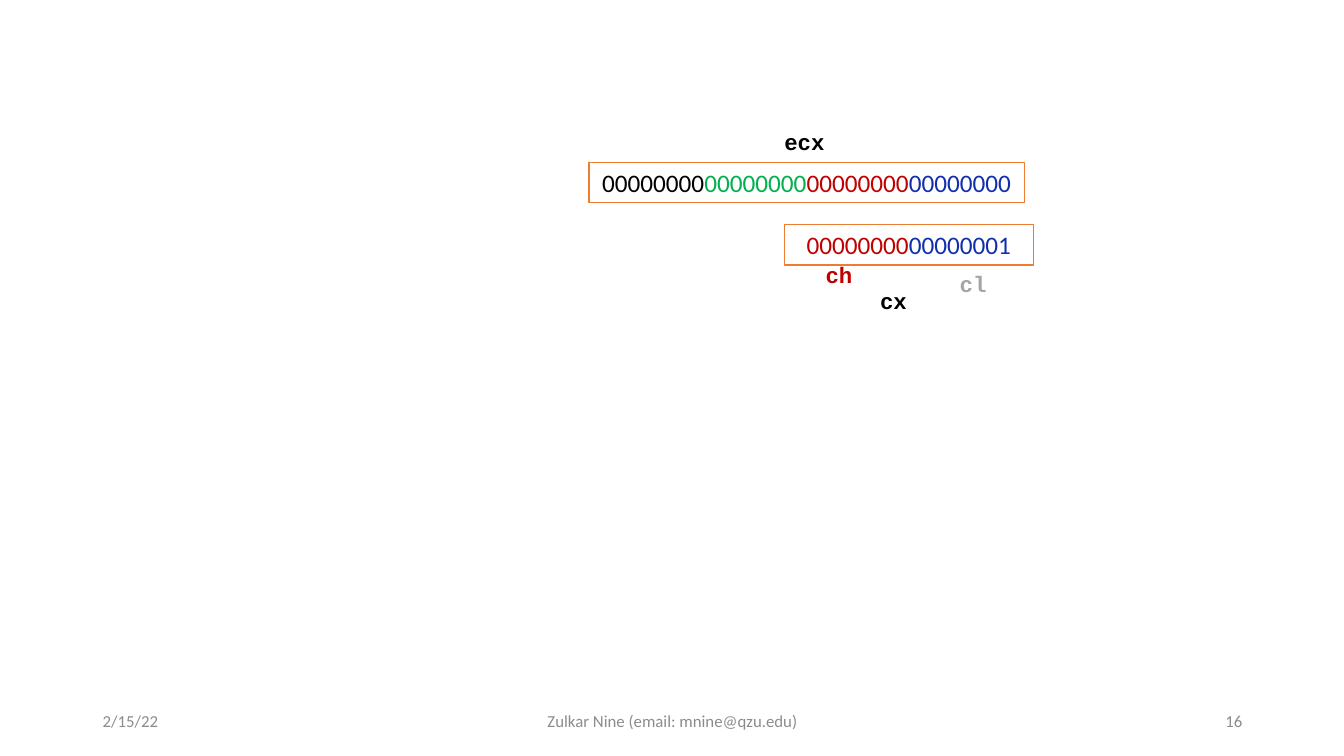
"""Build a slide showing the ecx register and its cx, ch and cl parts."""
from pptx import Presentation
from pptx.dml.color import RGBColor
from pptx.enum.shapes import MSO_SHAPE
from pptx.enum.text import MSO_ANCHOR, PP_ALIGN
from pptx.util import Inches, Pt

RECTANGLE = MSO_SHAPE.RECTANGLE
MIDDLE, TOP = MSO_ANCHOR.MIDDLE, MSO_ANCHOR.TOP
LEFT, CENTER, RIGHT = PP_ALIGN.LEFT, PP_ALIGN.CENTER, PP_ALIGN.RIGHT
WHITE = RGBColor(0xFF, 0xFF, 0xFF)
BLACK = RGBColor(0x00, 0x00, 0x00)
GRAY = RGBColor(0x8C, 0x8C, 0x8C)
SILVER = RGBColor(0xA5, 0xA5, 0xA5)
ORANGE = RGBColor(0xED, 0x7D, 0x31)
GREEN = RGBColor(0x00, 0xB0, 0x50)
RED = RGBColor(0xC0, 0x00, 0x00)
BLUE = RGBColor(0x11, 0x2E, 0xAC)

deck = Presentation()
deck.slide_width, deck.slide_height = Inches(13.33), Inches(7.5)
page = deck.slides.add_slide(deck.slide_layouts[6])


def write(box, spans, size, font, align=LEFT, anchor=TOP, wrap=True, bold=False):
    """Fill a box with one paragraph of coloured spans."""
    frame = box.text_frame
    frame.word_wrap = wrap
    frame.vertical_anchor = anchor
    para = frame.paragraphs[0]
    para.alignment = align
    para.font.size = Pt(size)
    para.font.name = font
    para.font.bold = bold
    for text, color in spans:
        span = para.add_run()
        span.text = text
        span.font.color.rgb = color


footers = [
    (0.92, 3, "2/15/22", LEFT),
    (4.42, 4.5, "Zulkar Nine (email: mnine@qzu.edu)", CENTER),
    (9.42, 3, "16", RIGHT),
]
for left, width, text, align in footers:
    box = page.shapes.add_textbox(Inches(left), Inches(6.95), Inches(width), Inches(0.4))
    write(box, [(text, GRAY)], 12, "Calibri", align, MIDDLE)

ZEROS = "0" * 8
registers = [
    (5.84, 1.61, 4.32, [(ZEROS, BLACK), (ZEROS, GREEN), (ZEROS, RED), (ZEROS, BLUE)]),
    (7.78, 2.23, 2.47, [(ZEROS, RED), ("00000001", BLUE)]),
]
for left, top, width, spans in registers:
    box = page.shapes.add_shape(RECTANGLE, Inches(left), Inches(top), Inches(width), Inches(0.4))
    box.shadow.inherit = False
    box.fill.solid()
    box.fill.fore_color.rgb = WHITE
    box.line.color.rgb = ORANGE
    box.line.width = Pt(1)
    write(box, spans, 18, "Calibri", CENTER)

labels = [
    (8.63, 2.8, 0.47, "cx", BLACK),
    (8.09, 2.54, 0.47, "ch", RED),
    (9.42, 2.63, 0.47, "cl", SILVER),
    (7.68, 1.22, 0.61, "ecx", BLACK),
]
for left, top, width, name, color in labels:
    box = page.shapes.add_textbox(Inches(left), Inches(top), Inches(width), Inches(0.37))
    write(box, [(name, color)], 16, "Courier New", wrap=False, bold=True)

deck.save("out.pptx")
